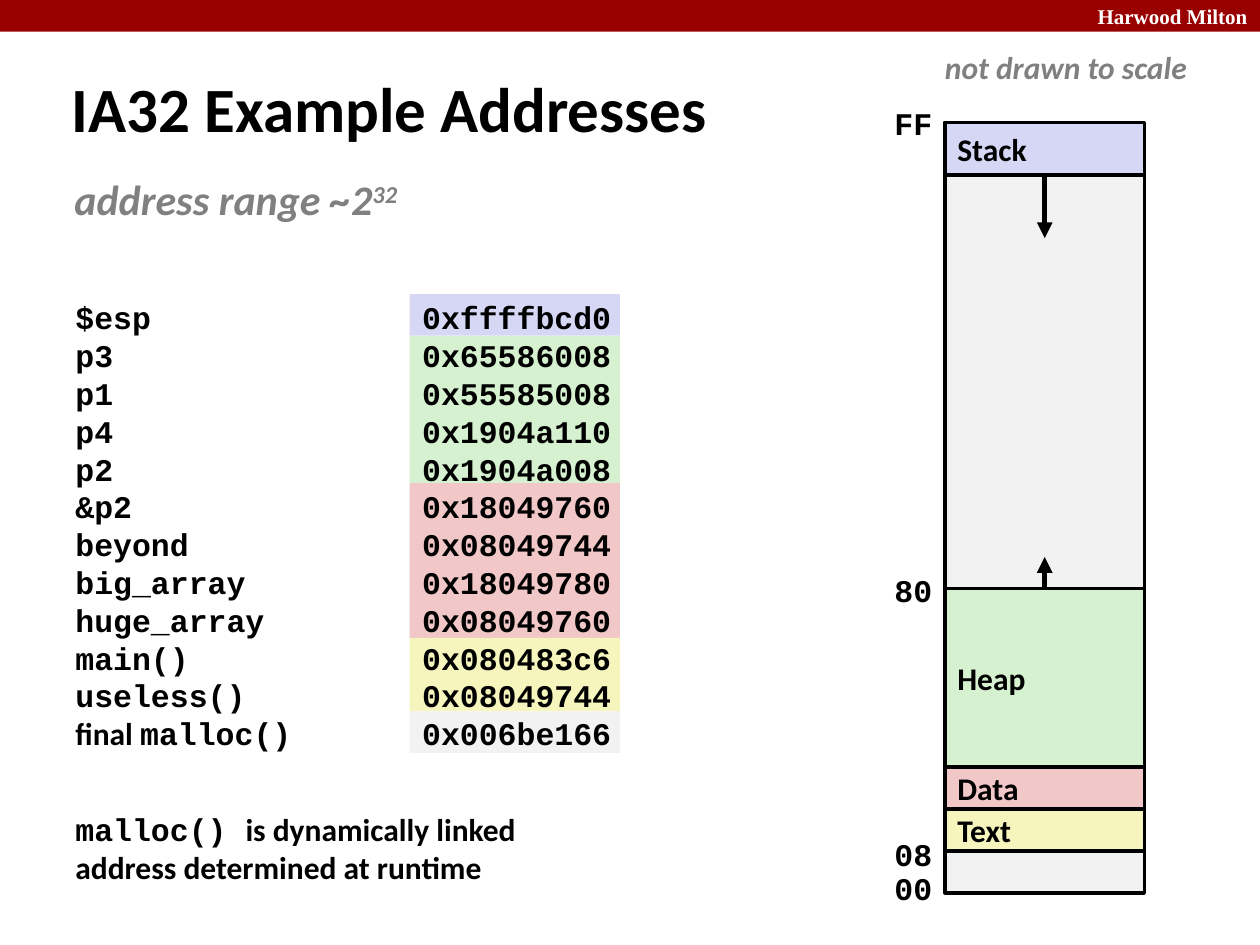
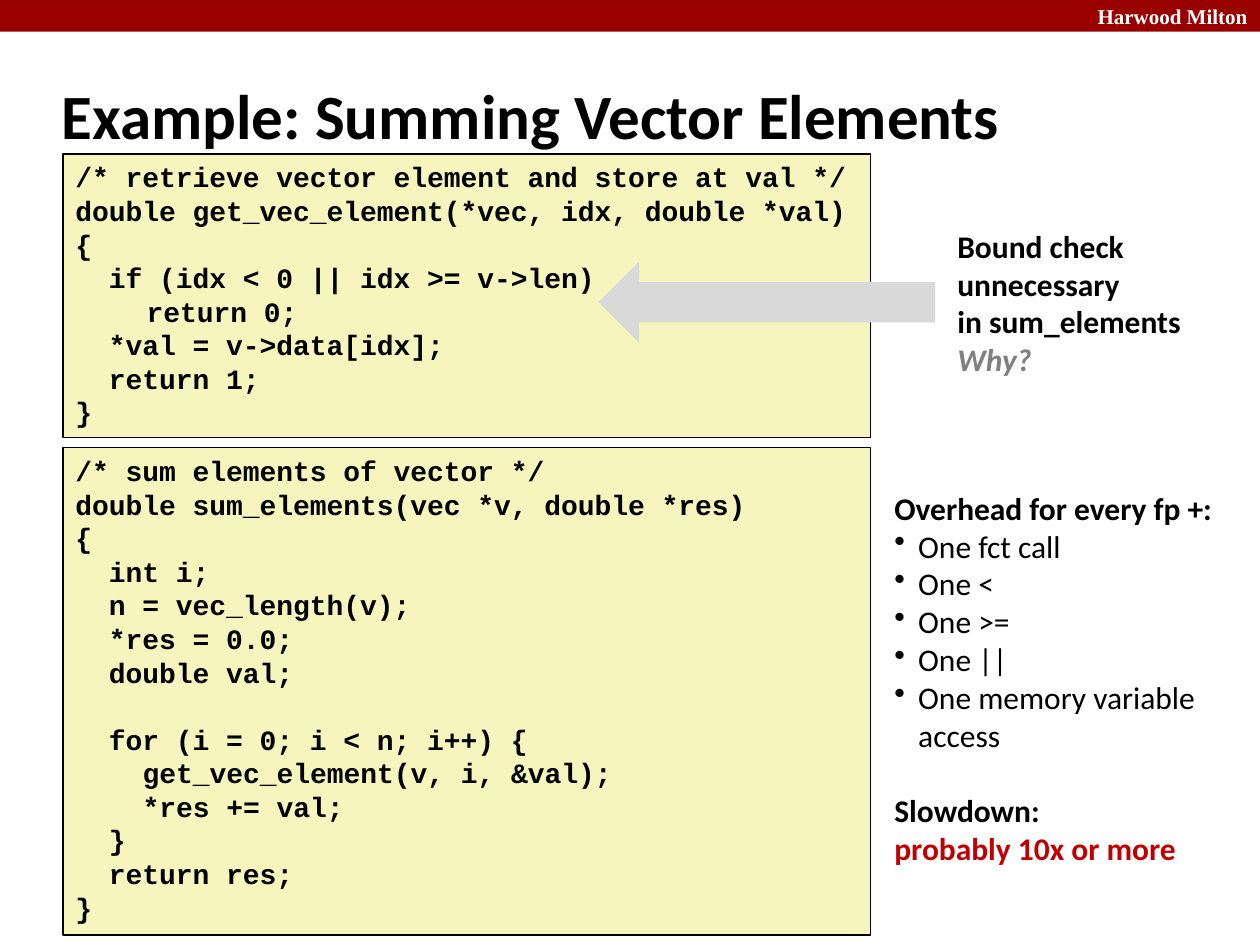
from itertools import accumulate

from lxml import etree
from pptx import Presentation
from pptx.dml.color import RGBColor
from pptx.enum import shapes as kinds, text as txt
from pptx.oxml import ns
from pptx.util import Cm, Pt

RED = RGBColor(0x99, 0x00, 0x00)
ALERT = RGBColor(0xC0, 0x00, 0x00)
BLACK = RGBColor(0x00, 0x00, 0x00)
WHITE = RGBColor(0xFF, 0xFF, 0xFF)
GREY = RGBColor(0x80, 0x80, 0x80)
SILVER = RGBColor(0xD9, 0xD9, 0xD9)
PALE = RGBColor(0xF2, 0xF2, 0xF2)
BLUE = RGBColor(0xD6, 0xD6, 0xF5)
GREEN = RGBColor(0xD5, 0xF1, 0xCF)
PINK = RGBColor(0xF1, 0xC7, 0xC7)
YELLOW = RGBColor(0xF6, 0xF5, 0xBD)

SANS, MONO, SERIF = "Calibri", "Courier New", "Times New Roman"
LEAD = 1.2    # line height as a multiple of the text size
CHAR = 0.6    # width of a monospaced letter, same unit

# Name and address of each symbol
ADDRS = [
    ("$esp", "0xffffbcd0"), ("p3", "0x65586008"), ("p1", "0x55585008"),
    ("p4", "0x1904a110"), ("p2", "0x1904a008"), ("&p2", "0x18049760"),
    ("beyond", "0x08049744"), ("big_array", "0x18049780"),
    ("huge_array", "0x08049760"), ("main()", "0x080483c6"),
    ("useless()", "0x08049744"), ("malloc()", "0x006be166"),
]
# Height and colour of the bands behind the addresses
BANDS = [(0.84, BLUE), (2.97, GREEN), (3.12, PINK), (1.48, YELLOW), (0.84, PALE)]
# Height, colour and name of the memory regions; unnamed ones stay free
AREAS = [(1.06, BLUE, "Stack"), (8.33, PALE, ""), (3.6, GREEN, "Heap"),
         (0.85, PINK, "Data"), (0.85, YELLOW, "Text")]
MARKS = [("FF", 1.98), ("80", 11.38), ("08", 16.71), ("00", 17.4)]

# Code lines: indent in letters, text; None opens a gap
FETCH = [
    (0, "/* retrieve vector element and store at val */"),
    (0, "double get_vec_element(*vec, idx, double *val)"),
    (0, "{"),
    (2, "if (idx < 0 || idx >= v->len)"),
    (4.25, "return 0;"),
    (2, "*val = v->data[idx];"),
    (2, "return 1;"),
    (0, "}"),
]
TOTAL = [
    (0, "/* sum elements of vector */"),
    (0, "double sum_elements(vec *v, double *res)"),
    (0, "{"),
    (2, "int i;"),
    (2, "n = vec_length(v);"),
    (2, "*res = 0.0;"),
    (2, "double val;"),
    None,
    (2, "for (i = 0; i < n; i++) {"),
    (4, "get_vec_element(v, i, &val);"),
    (4, "*res += val;"),
    (2, "}"),
    (2, "return res;"),
    (0, "}"),
]
COSTS = ["One fct call", "One <", "One >=", "One ||", "One memory variable\vaccess"]


def area(left, top, wide, high):
    return Cm(left), Cm(top), Cm(wide), Cm(high)


def write(par, words, size=18, face=SANS, color=BLACK, bold=True, slant=False):
    """Add one run, or several parted by line breaks."""
    par.line_spacing = Pt(size * LEAD)
    for i, part in enumerate(words.split("\v")):
        if i:
            par.add_line_break()
        run = par.add_run()
        run.text = part
        font = run.font
        font.name, font.size, font.bold, font.italic = face, Pt(size), bold, slant
        font.color.rgb = color
    return run


def next_par(frame):
    """Return the first paragraph while it is free, then new ones."""
    first = frame.paragraphs[0]
    par = frame.add_paragraph() if first.runs else first
    par.alignment = txt.PP_ALIGN.LEFT
    return par


def text_box(slide, left, top, wide, high):
    frame = slide.shapes.add_textbox(*area(left, top, wide, high)).text_frame
    frame.word_wrap = False
    frame.auto_size = txt.MSO_AUTO_SIZE.SHAPE_TO_FIT_TEXT
    return frame


def label(slide, place, words, **style):
    return write(next_par(text_box(slide, *place)), words, **style)


def block(slide, place, fill, line=0, kind=kinds.MSO_SHAPE.RECTANGLE):
    shape = slide.shapes.add_shape(kind, *area(*place))
    shape.shadow.inherit = False
    shape.fill.solid()
    shape.fill.fore_color.rgb = fill
    if line:
        shape.line.color.rgb = BLACK
        shape.line.width = Pt(line)
    else:
        shape.line.fill.background()
    return shape


def arrow(slide, x, start, end):
    link = slide.shapes.add_connector(
        kinds.MSO_CONNECTOR.STRAIGHT, Cm(x), Cm(start), Cm(x), Cm(end))
    link.line.color.rgb = BLACK
    link.line.width = Pt(3)
    etree.SubElement(link.line._get_or_add_ln(), ns.qn("a:tailEnd"), type="triangle")
    etree.SubElement(link.element.spPr, ns.qn("a:effectLst"))


def set_tab(par, pos):
    tabs = etree.SubElement(par._p.get_or_add_pPr(), ns.qn("a:tabLst"))
    etree.SubElement(tabs, ns.qn("a:tab"), pos=str(Cm(pos)), algn="l")


def set_hang(par, gap):
    """Give a paragraph a bullet with a hanging indent."""
    props = par._p.get_or_add_pPr()
    props.set("marL", str(Cm(gap)))
    props.set("indent", str(-Cm(gap)))
    etree.SubElement(props, ns.qn("a:buChar"), char="•")


def code_box(slide, top, high, lines, size=16):
    frame = block(slide, (1.27, top, 16.28, high), YELLOW, 1).text_frame
    frame.word_wrap = True
    frame.vertical_anchor = txt.MSO_ANCHOR.TOP
    gap = False
    for line in lines:
        if line is None:
            gap = True
            continue
        par = next_par(frame)
        write(par, line[1], size, MONO)
        par._p.get_or_add_pPr().set("marL", str(Pt(line[0] * size * CHAR)))
        if gap:
            par.space_before = Pt(size * LEAD)
            gap = False


def new_slide(deck, title, place):
    slide = deck.slides.add_slide(deck.slide_layouts[5])
    head = slide.shapes.title
    head.left, head.top, head.width, head.height = area(*place)
    frame = head.text_frame
    frame.auto_size = txt.MSO_AUTO_SIZE.NONE
    frame.vertical_anchor = txt.MSO_ANCHOR.MIDDLE
    write(next_par(frame), title, 36)
    return slide


def brand(slide):
    """Draw the top band and move it to the layout that all slides share."""
    band = block(slide, (0, 0, 25.4, 0.64), RED)
    tag = slide.shapes.add_textbox(*area(21.4, 0, 4, 0.64))
    frame = tag.text_frame
    frame.word_wrap = True
    frame.vertical_anchor = txt.MSO_ANCHOR.MIDDLE
    par = next_par(frame)
    par.alignment = txt.PP_ALIGN.RIGHT
    write(par, "Harwood Milton", 12, SERIF, WHITE)
    for shape in (band, tag):
        slide.slide_layout.shapes.element.append(shape.element)


def addr_list(slide):
    tops = accumulate((high for high, _ in BANDS), initial=5.93)
    for top, (high, fill) in zip(tops, BANDS):
        block(slide, (8.26, top, 4.24, high), fill)
    frame = text_box(slide, 1.27, 5.89, 11.84, 9.47)
    for name, addr in ADDRS:
        par = next_par(frame)
        if name == "malloc()":
            write(par, "final ")
        write(par, f"{name}\t{addr}", face=MONO)
        set_tab(par, 6.99)


def memory(slide):
    left, wide, top = 19.05, 4.02, 2.47
    block(slide, (left, top, wide, 15.53), PALE, 2)
    tops = list(accumulate((high for high, *_ in AREAS), initial=top))
    for y, (high, fill, name) in zip(tops, AREAS):
        if name:
            frame = block(slide, (left, y, wide, high), fill, 2).text_frame
            frame.vertical_anchor = txt.MSO_ANCHOR.MIDDLE
            write(next_par(frame), name)
    for mark, y in MARKS:
        label(slide, (17.78, y, 1.27, 1.02), mark, face=MONO)
    # Growth of stack and heap
    mid = left + wide / 2
    arrow(slide, mid, tops[1], tops[1] + 1.27)
    arrow(slide, mid, tops[2], tops[2] - 0.63)


def addresses(deck):
    slide = new_slide(deck, "IA32 Example Addresses", (1.19, 1.37, 18.26, 1.6))
    brand(slide)
    addr_list(slide)
    memory(slide)
    label(slide, (18.8, 0.84, 5.41, 1.02), "not drawn to scale", color=GREY, slant=True)

    # Address range with its exponent
    frame = text_box(slide, 1.37, 3.38, 6.88, 1.27)
    frame.margin_left = frame.margin_right = Cm(0.13)
    par = next_par(frame)
    write(par, "address range ~2", 24, color=GREY, slant=True)
    power = write(par, "32", 24, color=GREY, slant=True)
    power.font._element.set("baseline", "30000")

    # Remark on linking
    frame = text_box(slide, 1.27, 16.21, 9.45, 1.8)
    par = next_par(frame)
    write(par, "malloc() ", face=MONO)
    write(par, "is dynamically linked")
    write(next_par(frame), "address determined at runtime")


def vectors(deck):
    slide = new_slide(deck, "Example: Summing Vector Elements", (0.99, 1.24, 21.08, 2.11))
    code_box(slide, 9.02, 9.83, TOTAL)
    code_box(slide, 3.1, 5.72, FETCH)

    # Cost of each addition
    frame = text_box(slide, 17.78, 9.73, 6.99, 7.95)
    write(next_par(frame), "Overhead for every fp +:")
    for cost in COSTS:
        par = next_par(frame)
        write(par, cost, bold=False)
        set_hang(par, 0.48)
    par = next_par(frame)
    write(par, "Slowdown:")
    par.space_before = Pt(18 * LEAD)
    write(next_par(frame), "probably 10x or more", color=ALERT)

    # Pointer to the bound check
    block(slide, (12.07, 5.28, 6.78, 1.63), SILVER, kind=kinds.MSO_SHAPE.LEFT_ARROW)
    frame = text_box(slide, 19.05, 4.45, 5.05, 3.33)
    for line in ("Bound check", "unnecessary", "in sum_elements"):
        write(next_par(frame), line)
    write(next_par(frame), "Why?", color=GREY, slant=True)


def main():
    deck = Presentation()
    deck.slide_width, deck.slide_height = Cm(25.4), Cm(19.05)
    addresses(deck)
    vectors(deck)
    deck.save("out.pptx")


if __name__ == "__main__":
    main()
